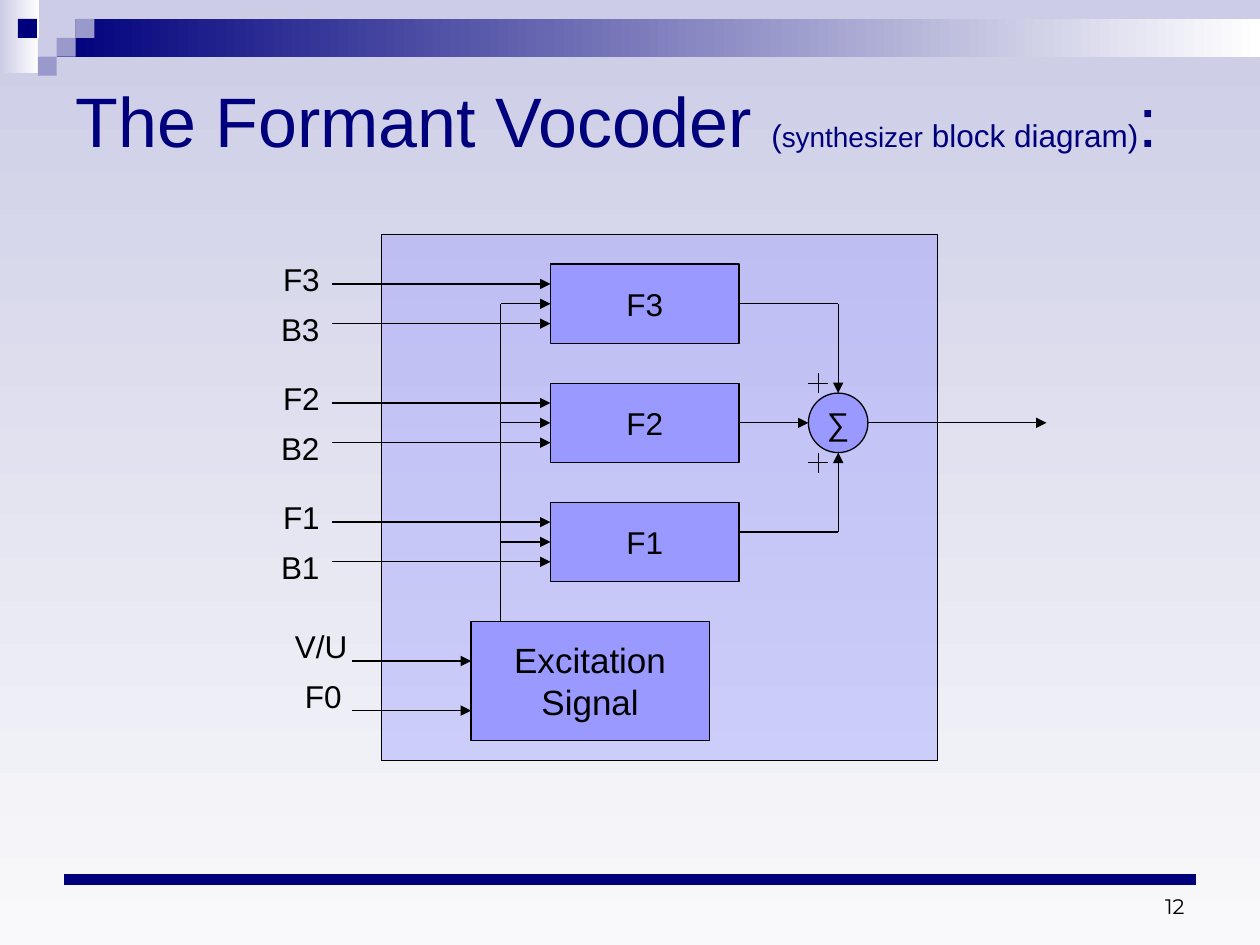
from dataclasses import dataclass
from lxml import etree
from pptx import Presentation
from pptx.dml.color import RGBColor
from pptx.enum.shapes import MSO_CONNECTOR, MSO_SHAPE
from pptx.enum.text import MSO_ANCHOR, MSO_AUTO_SIZE, PP_ALIGN
from pptx.oxml.ns import qn
from pptx.util import Inches, Pt

RECT, OVAL = MSO_SHAPE.RECTANGLE, MSO_SHAPE.OVAL
STRAIGHT = MSO_CONNECTOR.STRAIGHT
LEFT, CENTER, RIGHT = PP_ALIGN.LEFT, PP_ALIGN.CENTER, PP_ALIGN.RIGHT
TOP, MIDDLE, BOTTOM = MSO_ANCHOR.TOP, MSO_ANCHOR.MIDDLE, MSO_ANCHOR.BOTTOM
NO_FIT = MSO_AUTO_SIZE.NONE


@dataclass(frozen=True)
class Theme:
    """Colours, fonts and type sizes of the slide."""
    navy: str = "00007D"
    mist: str = "CCCCE6"
    pale: str = "F9F9FB"
    dusk: str = "9999CC"
    block: str = "9999FF"
    white: str = "FFFFFF"
    ink: str = "000000"
    font: str = "Arial"
    digit: str = "Montserrat"
    head: int = 40
    large: int = 20
    body: int = 18
    small: int = 16
    note: int = 12
    hair: float = 0.75
    bar: int = 6


T = Theme()


@dataclass(frozen=True)
class Grid:
    """A grid of square cells with its origin and cell size in inches."""
    left: float
    top: float
    cell: float

    def spot(self, x, y):
        """Turn a grid point into slide lengths."""
        return Inches(self.left + x * self.cell), Inches(self.top + y * self.cell)

    def area(self, x, y, w, h):
        """Turn a grid box into slide lengths."""
        return *self.spot(x, y), Inches(w * self.cell), Inches(h * self.cell)


def tint(hue):
    """Return a colour from its hex form."""
    return RGBColor.from_string(hue)


def blend(fill, first, last, angle):
    """Fill with a two-stop gradient."""
    fill.gradient()
    fill.gradient_angle = angle
    for stop, hue in zip(fill.gradient_stops, (first, last)):
        stop.color.rgb = tint(hue)


def write(shape, lines, align=LEFT, anchor=TOP, hue=T.ink, font=T.font, wrap=False):
    """Write lines, each a list of text and size pairs."""
    frame = shape.text_frame
    frame.auto_size = NO_FIT
    frame.word_wrap = wrap
    frame.vertical_anchor = anchor
    for i, line in enumerate(lines):
        para = frame.add_paragraph() if i else frame.paragraphs[0]
        para.alignment = align
        for text, size in line:
            run = para.add_run()
            run.text = text
            run.font.name = font
            run.font.size = Pt(size)
            run.font.color.rgb = tint(hue)


def block(slide, area, hue, kind=RECT, edge=False):
    """Add a flat shape, with a hairline edge on request."""
    shape = slide.shapes.add_shape(kind, *area)
    shape.shadow.inherit = False
    shape.fill.solid()
    shape.fill.fore_color.rgb = tint(hue)
    if edge:
        shape.line.color.rgb = tint(T.ink)
        shape.line.width = Pt(T.hair)
    else:
        shape.line.fill.background()
    return shape


def wire(slide, start, end, arrow=True, hue=T.ink, width=T.hair):
    """Add a straight line, with an arrowhead at its end on request."""
    line = slide.shapes.add_connector(STRAIGHT, *start, *end)
    line.line.color.rgb = tint(hue)
    line.line.width = Pt(width)
    if arrow:
        tip = etree.SubElement(line.line._get_or_add_ln(), qn("a:tailEnd"))
        tip.set("type", "triangle")
    etree.SubElement(line._element.spPr, qn("a:effectLst"))


def banner(slide, grid):
    """Draw the gradient strips and small squares along the top."""
    side = block(slide, grid.area(0, 0, 2.07, 3.87), T.mist)
    blend(side.fill, T.mist, T.white, 0)
    strip = block(slide, grid.area(3, 1, 63.67, 2), T.navy)
    blend(strip.fill, T.navy, T.white, 0)
    tiles = ((3, 1, T.mist), (4, 0, T.mist), (4, 1, T.dusk), (2, 2, T.mist),
             (0.95, 1, T.navy), (3, 2, T.dusk), (2, 3, T.dusk))
    for x, y, hue in tiles:
        block(slide, grid.area(x, y, 1, 1), hue)


def heading(slide, area):
    """Place and write the title."""
    title = slide.shapes.title
    title.left, title.top, title.width, title.height = area
    runs = [("The Formant Vocoder ", T.head), ("(", T.body),
            ("synthesizer", T.small), (" block diagram)", T.body), (":", T.head)]
    write(title, [runs], anchor=MIDDLE, hue=T.navy, wrap=True)


def label(slide, grid, text, x, y, w=3.15):
    """Name one input signal."""
    box = slide.shapes.add_textbox(*grid.area(x, y, w, 2.5))
    write(box, [[(text, T.body)]])


def bank(slide, grid, name, y):
    """Draw one formant filter with its inputs."""
    box = block(slide, grid.area(8.5, y, 9.5, 4), T.block, edge=True)
    write(box, [[("F" + name, T.body)]], CENTER, MIDDLE)
    for x, row in ((-2.5, 1), (6, 2), (-2.5, 3)):
        wire(slide, grid.spot(x, y + row), grid.spot(8.5, y + row))
    label(slide, grid, "F" + name, -5.6, y - 0.5)
    label(slide, grid, "B" + name, -5.7, y + 2)


def source(slide, grid):
    """Draw the excitation block, its inputs and its bus to the filters."""
    box = block(slide, grid.area(4.5, 19.5, 12, 6), T.block, edge=True)
    write(box, [[("Excitation", T.large)], [("Signal", T.large)]], CENTER, MIDDLE)
    for y in (21.5, 24):
        wire(slide, grid.spot(-1.5, y), grid.spot(4.5, y))
    label(slide, grid, "V/U", -5, 19.5, 3.9)
    label(slide, grid, "F0", -4.5, 22)
    wire(slide, grid.spot(6, 19.5), grid.spot(6, 3.5), False)


def adder(slide, grid):
    """Draw the summing node, its plus signs and the paths through it."""
    node = block(slide, grid.area(21.5, 8, 3, 3), T.block, OVAL, True)
    write(node, [[("∑", T.body)]], CENTER, MIDDLE)
    for y, rim in ((3.5, 8), (15, 11)):
        wire(slide, grid.spot(18, y), grid.spot(23, y), False)
        wire(slide, grid.spot(23, y), grid.spot(23, rim))
    for x, end in ((18, 21.5), (24.5, 33.5)):
        wire(slide, grid.spot(x, 9.5), grid.spot(end, 9.5))
    for y in (7.5, 11.5):
        wire(slide, grid.spot(21.5, y), grid.spot(22.5, y), False)
        wire(slide, grid.spot(22, y - 0.5), grid.spot(22, y + 0.5), False)


def diagram(slide, grid):
    """Draw the synthesizer frame and all its parts."""
    frame = block(slide, grid.area(0, 0, 28, 26.5), T.block, edge=True)
    hue = frame._element.spPr.find(qn("a:solidFill"))[0]
    etree.SubElement(hue, qn("a:alpha")).set("val", "40000")
    for i, name in enumerate("321"):
        bank(slide, grid, name, 1.5 + 6 * i)
    source(slide, grid)
    adder(slide, grid)


def footer(slide, grid):
    """Draw the bottom rule and the page number."""
    wire(slide, grid.spot(0.51, 6.98), grid.spot(9.49, 6.98), False, T.navy, T.bar)
    box = slide.shapes.add_textbox(*grid.area(7.17, 7.04, 2.33, 0.3))
    write(box, [[("12", T.note)]], RIGHT, BOTTOM, font=T.digit, wrap=True)


def main():
    """Build and save the slide."""
    deck = Presentation()
    deck.slide_width, deck.slide_height = Inches(10), Inches(7.5)
    slide = deck.slides.add_slide(deck.slide_layouts[5])
    blend(slide.background.fill, T.mist, T.pale, 270)
    page = Grid(0, 0, 1)
    banner(slide, Grid(0, 0, 0.15))
    heading(slide, page.area(0.5, 0.5, 9, 0.89))
    diagram(slide, Grid(3.03, 1.86, 0.1575))
    footer(slide, page)
    deck.save("out.pptx")


if __name__ == "__main__":
    main()
